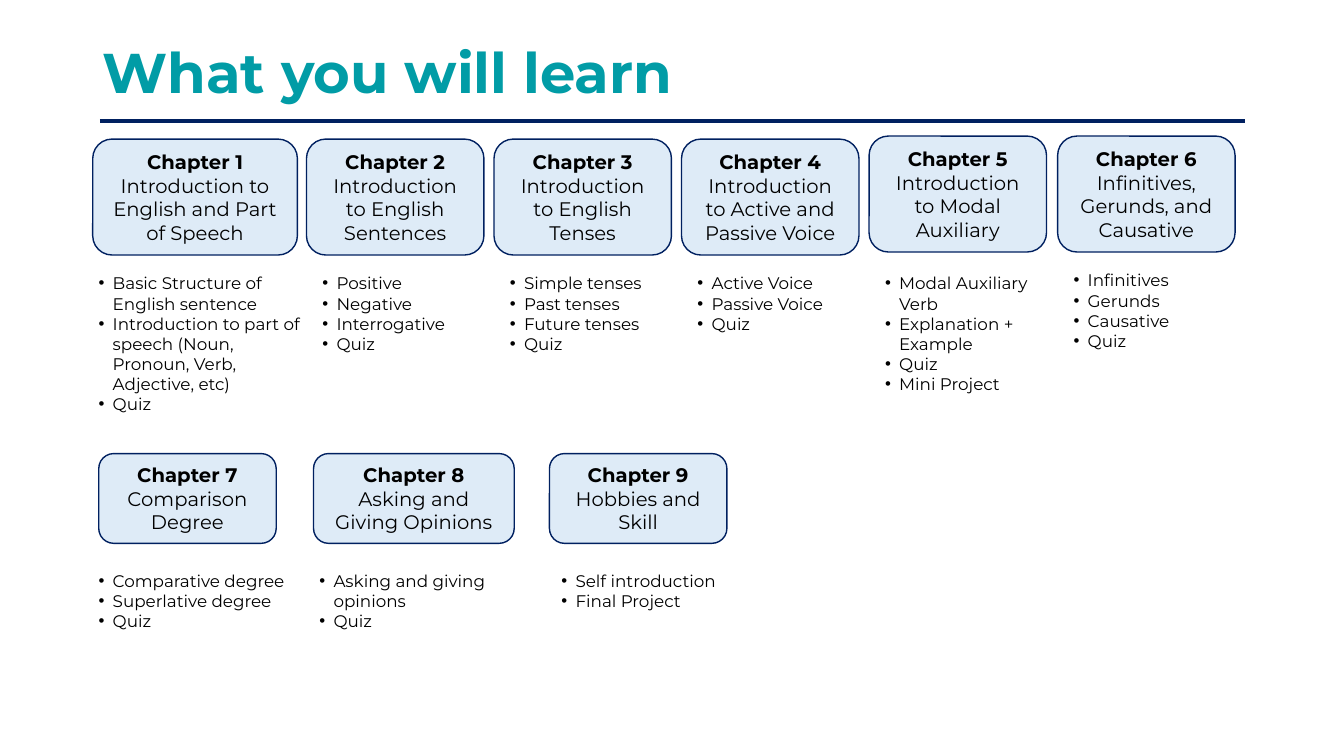
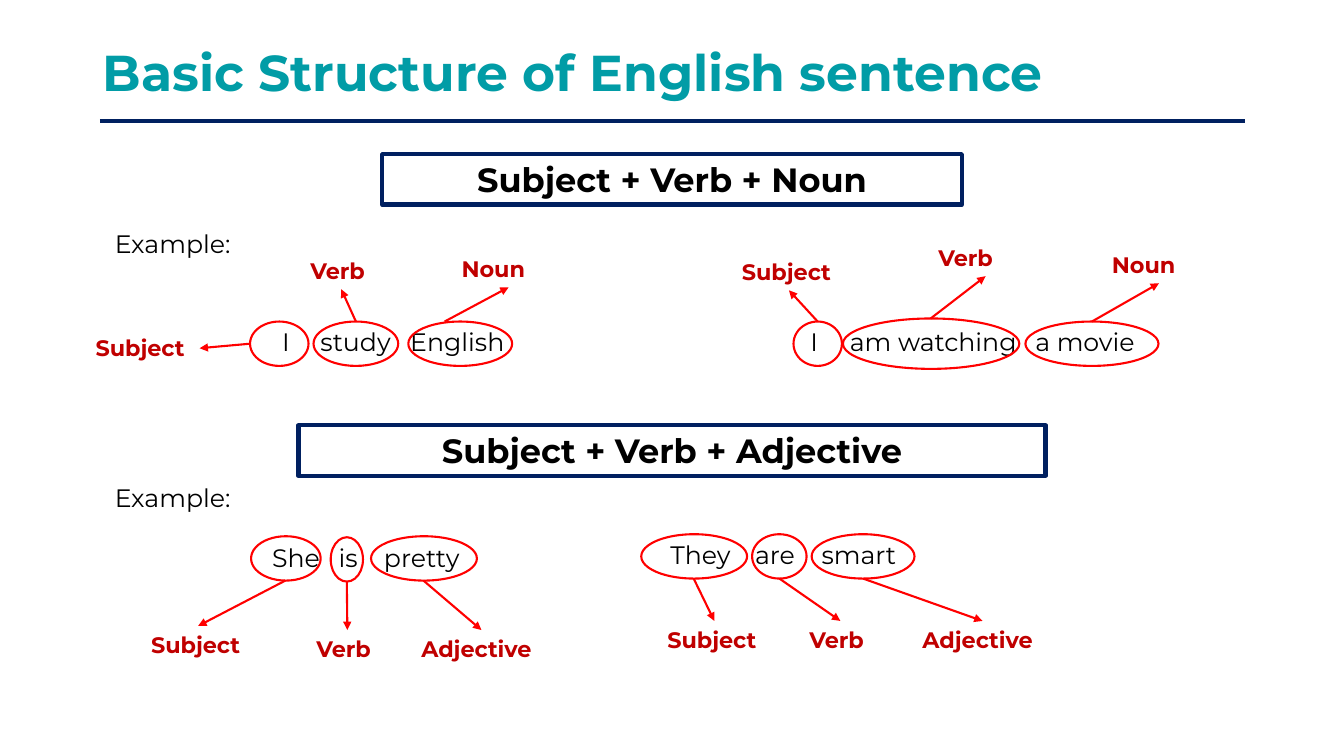
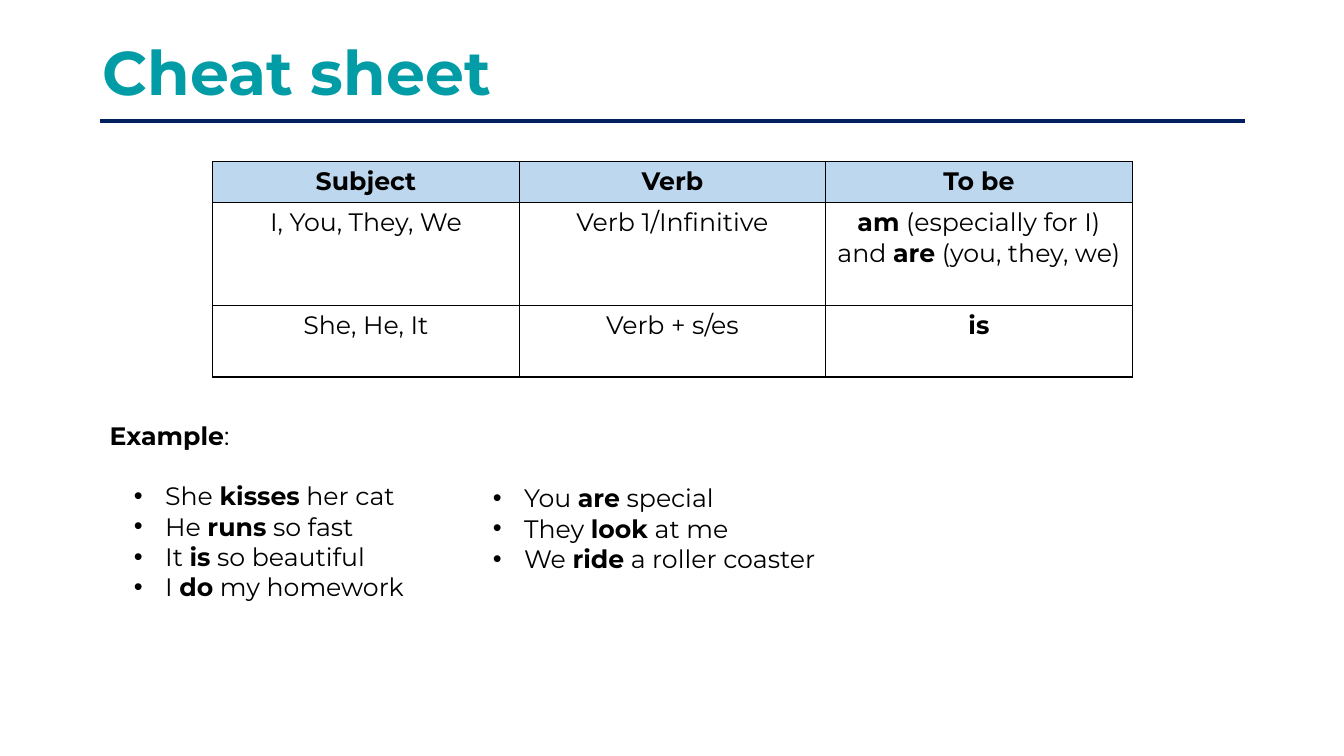
from lxml import etree
from pptx import Presentation
from pptx import util as u
from pptx.dml import color
from pptx.enum import shapes, text
from pptx.oxml import ns

FONT = "Montserrat"
TEAL, NAVY, BLACK = "019CA6", "002060", "000000"
PALE, BLUE, RED, WINE = "DEEBF7", "BDD7EE", "FF0000", "C00000"
LEFT, MID = text.PP_ALIGN.LEFT, text.PP_ALIGN.CENTER
FORM = shapes.MSO_SHAPE


def px(n):
    return u.Emu(n * 9144)


def rgb(code):
    return color.RGBColor.from_string(code)


def sub(node, tag, **attrs):
    return etree.SubElement(node, ns.qn(tag), attrs)


def write(frame, words, size=18, ink=BLACK, bold=False, align=LEFT,
          space=None, dot=None, tabs=()):
    for i, line in enumerate(words.split("\n")):
        para = frame.add_paragraph() if i else frame.paragraphs[0]
        para.alignment = align
        if space:
            para.line_spacing = space
        props = para._p.get_or_add_pPr()
        if dot:
            edge, hang = dot
            props.set("marL", str(px(edge)))
            props.set("indent", str(px(-hang)))
            sub(props, "a:buFont", typeface="Arial")
            sub(props, "a:buChar", char="•")
        if tabs:
            stops = sub(props, "a:tabLst")
            for stop in tabs:
                sub(stops, "a:tab", pos=str(px(stop)), algn="l")
        for j, piece in enumerate(line.split("*")):
            if piece:
                run = para.add_run()
                run.text = piece
                run.font.name = FONT
                run.font.size = u.Pt(size)
                run.font.bold = bold or j % 2 == 1
                run.font.color.rgb = rgb(ink)


class Deck:
    def __init__(self):
        self.file = Presentation()
        self.file.slide_width, self.file.slide_height = px(1333), px(750)

    def page(self, title, size):
        self.slide = self.file.slides.add_slide(self.file.slide_layouts[6])
        self.label(title, 92, 29, 1150, 91, size=size, ink=TEAL, bold=True,
                   space=0.9, anchor=text.MSO_ANCHOR.MIDDLE)
        self.line(99, 120, 1235, 120, NAVY, 3)

    def label(self, words, x, y, w, h, anchor=text.MSO_ANCHOR.TOP, **style):
        box = self.slide.shapes.add_textbox(px(x), px(y), px(w), px(h))
        box.text_frame.word_wrap = True
        box.text_frame.vertical_anchor = anchor
        write(box.text_frame, words, **style)
        return box

    def shape(self, form, x, y, w, h, ink, width, fill=None, words="", **style):
        item = self.slide.shapes.add_shape(form, px(x), px(y), px(w), px(h))
        item.shadow.inherit = False
        if fill:
            item.fill.solid()
            item.fill.fore_color.rgb = rgb(fill)
        else:
            item.fill.background()
        item.line.color.rgb = rgb(ink)
        item.line.width = u.Pt(width)
        if words:
            item.text_frame.word_wrap = True
            item.text_frame.vertical_anchor = text.MSO_ANCHOR.MIDDLE
            write(item.text_frame, words, align=MID, **style)

    def line(self, x, y, to_x, to_y, ink, width):
        item = self.slide.shapes.add_connector(
            shapes.MSO_CONNECTOR.STRAIGHT, px(x), px(y), px(to_x), px(to_y))
        item.line.color.rgb = rgb(ink)
        item.line.width = u.Pt(width)
        sub(item.element.spPr, "a:effectLst")
        return item

    def arrow(self, x, y, goal, side):
        item = self.line(x, y, x, y, RED, 1.5)
        item.end_connect(goal, side)
        sub(item.element.spPr.find(ns.qn("a:ln")), "a:tailEnd", type="triangle")

    def card(self, x, y, w, h, words):
        self.shape(FORM.ROUNDED_RECTANGLE, x, y, w, h, NAVY, 1, PALE, words, size=14)

    def rule(self, words, x, y, w):
        self.shape(FORM.RECTANGLE, x, y, w, 50, NAVY, 3, words=words, size=24, bold=True)

    def term(self, ring, tag, side, shift=0):
        x, y, w, h = ring
        self.shape(FORM.OVAL, x, y, w, h, RED, 1.5)
        goal = self.label(*tag, 37, size=16, ink=WINE, bold=True)
        start = {0: (x + w // 2 + shift, y + h), 2: (x + w // 2 + shift, y),
                 3: (x, y + h // 2)}[side]
        self.arrow(*start, goal, side)

    def table(self, x, y, wide, tall, rows):
        grid = self.slide.shapes.add_table(
            len(rows), len(rows[0]), px(x), px(y),
            px(wide * len(rows[0])), px(sum(tall))).table
        grid.first_row = grid.horz_banding = False
        for col in grid.columns:
            col.width = px(wide)
        for r, row in enumerate(rows):
            grid.rows[r].height = px(tall[r])
            for c, words in enumerate(row):
                cell = grid.cell(r, c)
                props = cell._tc.get_or_add_tcPr()
                for edge in "LRTB":
                    rim = sub(props, "a:ln" + edge, w=str(u.Pt(1)))
                    sub(sub(rim, "a:solidFill"), "a:srgbClr", val=BLACK)
                if r:
                    cell.fill.background()
                else:
                    cell.fill.solid()
                    cell.fill.fore_color.rgb = rgb(BLUE)
                write(cell.text_frame, words, align=MID, bold=r == 0)


deck = Deck()

deck.page("What you will learn", 40)
CARDS = [
    ((92, 138, 203, 115), "*Chapter 1* Introduction to English and Part of Speech",
     (82, 266, 227, 151), "Basic Structure of English sentence\nIntroduction to part of "
     "speech (Noun, Pronoun, Verb, Adjective, etc)\nQuiz"),
    ((304, 138, 176, 115), "*Chapter 2* Introduction to English Sentences",
     (304, 266, 176, 91), "Positive\nNegative\nInterrogative\nQuiz"),
    ((490, 138, 176, 115), "*Chapter 3* Introduction to English Tenses",
     (490, 266, 176, 91), "Simple tenses\nPast tenses\nFuture tenses\nQuiz"),
    ((676, 138, 176, 115), "*Chapter 4* Introduction to Active and Passive Voice",
     (676, 266, 176, 71), "Active Voice\nPassive Voice\nQuiz"),
    ((862, 135, 176, 115), "*Chapter 5* Introduction to Modal Auxiliary",
     (862, 266, 176, 131), "Modal Auxiliary Verb\nExplanation + Example\nQuiz\nMini Project"),
    ((1049, 135, 176, 115), "*Chapter 6* Infinitives, Gerunds, and Causative",
     (1049, 263, 176, 91), "Infinitives\nGerunds\nCausative\nQuiz"),
    ((98, 450, 176, 89), "*Chapter 7* Comparison Degree",
     (82, 561, 240, 71), "Comparative degree\nSuperlative degree\nQuiz"),
    ((311, 450, 199, 89), "*Chapter 8*\nAsking and Giving Opinions",
     (301, 561, 208, 71), "Asking and giving opinions\nQuiz"),
    ((545, 450, 176, 89), "*Chapter 9*\nHobbies and Skill",
     (541, 561, 208, 50), "Self introduction\nFinal Project"),
]
for box, head, area, items in CARDS:
    deck.card(*box, head)
    deck.label(items, *area, size=12, dot=(20, 14))

deck.page("Basic Structure of English sentence", 36)
deck.rule("Subject + Verb + Noun", 379, 153, 575)
deck.rule("Subject + Verb + Adjective", 296, 422, 741)
for y in (222, 474):
    deck.label("Example:", 104, y, 160, 40)
LINES = [
    ("I\tstudy\tEnglish", 270, 319, 342, (38, 127)),
    ("I\tam watching\ta movie", 794, 319, 421, (39, 223)),
    ("She\tis\tpretty", 260, 533, 342, (66, 111)),
    ("They\tare\tsmart", 655, 530, 342, (84, 150)),
]
for words, x, y, w, tabs in LINES:
    deck.label(words, x, y, w, 40, tabs=tabs)
TERMS = [
    ((248, 319, 58, 44), ("Subject", 85, 327, 113), 3),
    ((311, 319, 84, 44), ("Verb", 298, 250, 81), 2),
    ((405, 319, 103, 44), ("Noun", 448, 248, 113), 2, -15),
    ((787, 319, 48, 44), ("Subject", 726, 251, 113), 2),
    ((836, 316, 175, 50), ("Verb", 921, 237, 113), 2),
    ((1017, 319, 132, 44), ("Noun", 1093, 244, 113), 2),
    ((249, 532, 69, 44), ("Subject", 140, 621, 113), 0),
    ((328, 533, 32, 44), ("Verb", 304, 625, 81), 0),
    ((368, 532, 105, 44), ("Adjective", 408, 625, 139), 0),
    ((636, 530, 105, 44), ("Subject", 652, 616, 113), 0),
    ((746, 530, 54, 44), ("Verb", 793, 616, 81), 0),
    ((805, 530, 102, 44), ("Adjective", 905, 616, 139), 0),
]
for term in TERMS:
    deck.term(*term)

deck.page("Cheat sheet", 44)
deck.table(211, 160, 304, (41, 102, 71), [
    ("Subject", "Verb", "To be"),
    ("I, You, They, We", "Verb 1/Infinitive",
     "*am* (especially for I) and *are* (you, they, we)"),
    ("She, He, It", "Verb + s/es", "*is*"),
])
deck.label("*Example*:", 99, 412, 356, 40)
deck.label("She *kisses* her cat\nHe *runs* so fast\nIt *is* so beautiful\n"
           "I *do* my homework", 99, 472, 356, 132, dot=(55, 31))
deck.label("You *are* special\nThey *look* at me\nWe *ride* a roller coaster",
           455, 474, 667, 101, dot=(55, 31))

deck.file.save("out.pptx")
